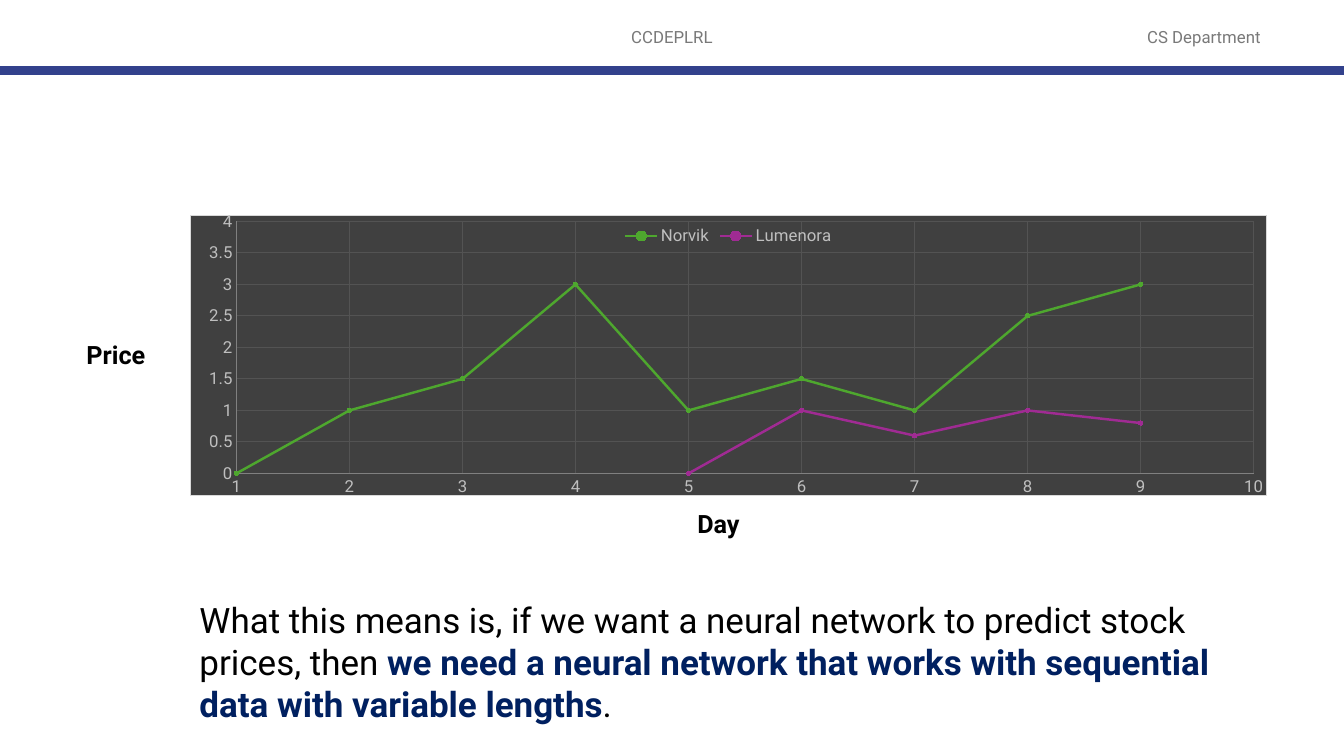
"""Build the slide on stock prices as sequential data of variable length."""
from dataclasses import dataclass

from lxml.etree import SubElement
from pptx import Presentation
from pptx.chart.data import XyChartData
from pptx.dml.color import RGBColor
from pptx.enum.chart import XL_CHART_TYPE, XL_LEGEND_POSITION, XL_MARKER_STYLE, XL_TICK_MARK
from pptx.enum.shapes import MSO_CONNECTOR
from pptx.enum.text import MSO_ANCHOR, PP_ALIGN
from pptx.oxml import parse_xml
from pptx.oxml.ns import nsdecls, qn
from pptx.util import Pt


@dataclass(frozen=True)
class Theme:
    """Colours and type sizes of the slide."""
    font: str = "Roboto"
    header: str = "797979"
    rule: str = "32418C"
    text: str = "000000"
    emphasis: str = "002060"
    panel: str = "404040"
    panel_edge: str = "D9D9D9"
    axis: str = "808080"
    grid: str = "535353"
    tick: str = "BFBFBF"
    small: int = 12
    label: int = 18
    body: int = 25


THEME = Theme()
SLIDE_SIZE = (960, 540)
RULE_TOP = 50.4
HEADERS = [
    ("CCDEPLRL", (318, 12, 324, 29)),
    ("CS Department", (786, 12, 148, 29)),
]
AXIS_TITLES = [
    ("Price", (54.7, 239, 72, 29)),
    ("Day", (491, 359.3, 58.5, 29)),
]
STATEMENT = [
    ("What this means is, if we want a neural network to predict stock prices, then ", False),
    ("we need a neural network that works with sequential data with variable lengths", True),
    (".", False),
]
STATEMENT_BOX = (135.4, 424, 769.7, 98)
CHART_BOX = (135.4, 151.2, 769.7, 203.8)
PLOT_AREA = {"x": 0.043, "y": 0.023, "w": 0.945, "h": 0.9}
STOCKS = [
    ("Norvik", 1, [0, 1, 1.5, 3, 1, 1.5, 1, 2.5, 3], "4EA72E", "8ED973"),
    ("Lumenora", 5, [0, 1, 0.6, 1, 0.8], "A02B93", "D86ECC"),
]
DAY_SCALE = (1, 10, 1)
PRICE_SCALE = (0, 4, 0.5)


def style_font(font, size, color, bold=False):
    """Apply the theme font with a size, colour and weight."""
    font.name, font.size, font.bold = THEME.font, Pt(size), bold
    font.color.rgb = RGBColor.from_string(color)


def style_line(line, color, width):
    """Give a line its colour and width."""
    line.color.rgb = RGBColor.from_string(color)
    line.width = Pt(width)


def add_text(slide, box, runs, size, align=PP_ALIGN.LEFT, anchor=MSO_ANCHOR.TOP):
    """Add a one-paragraph text box from (text, colour, bold) runs."""
    frame = slide.shapes.add_textbox(*map(Pt, box)).text_frame
    frame.word_wrap = True
    frame.vertical_anchor = anchor
    paragraph = frame.paragraphs[0]
    paragraph.alignment = align
    for text, color, bold in runs:
        run = paragraph.add_run()
        run.text = text
        style_font(run.font, size, color, bold)


def style_axis(axis, scale):
    """Set the scale, grid and labels of an axis."""
    axis.minimum_scale, axis.maximum_scale, axis.major_unit = scale
    axis.major_tick_mark = axis.minor_tick_mark = XL_TICK_MARK.NONE
    axis.has_major_gridlines = True
    style_line(axis.major_gridlines.format.line, THEME.grid, 0.75)
    style_line(axis.format.line, THEME.axis, 0.75)
    style_font(axis.tick_labels.font, THEME.small, THEME.tick)


def frame_chart(chart):
    """Fill the chart panel and fix the inner plot area."""
    chart.element.find(qn("c:txPr")).addprevious(parse_xml(
        f'<c:spPr {nsdecls("c", "a")}>'
        f'<a:solidFill><a:srgbClr val="{THEME.panel}"/></a:solidFill>'
        f'<a:ln w="{Pt(0.75)}"><a:solidFill><a:srgbClr val="{THEME.panel_edge}"/></a:solidFill></a:ln>'
        '</c:spPr>'))
    plot_area = chart.element.find(f'{qn("c:chart")}/{qn("c:plotArea")}')
    for automatic in plot_area.findall(qn("c:layout")):
        plot_area.remove(automatic)
    layout = parse_xml(f'<c:layout {nsdecls("c")}/>')
    manual = SubElement(layout, qn("c:manualLayout"))
    settings = {"layoutTarget": "inner", "xMode": "edge", "yMode": "edge", **PLOT_AREA}
    for tag, value in settings.items():
        SubElement(manual, qn(f"c:{tag}")).set("val", str(value))
    plot_area.insert(0, layout)


def add_price_chart(slide):
    """Add the scatter chart of stock prices by day."""
    prices = XyChartData()
    for name, first_day, values, *_ in STOCKS:
        stock = prices.add_series(name)
        for day, price in enumerate(values, first_day):
            stock.add_data_point(day, price)
    chart = slide.shapes.add_chart(
        XL_CHART_TYPE.XY_SCATTER_LINES, *map(Pt, CHART_BOX), prices).chart
    chart.has_title = False
    style_font(chart.font, THEME.small, THEME.tick)
    chart.has_legend = True
    chart.legend.position = XL_LEGEND_POSITION.TOP
    chart.legend.include_in_layout = False
    style_font(chart.legend.font, THEME.small, THEME.tick)
    style_axis(chart.category_axis, DAY_SCALE)
    style_axis(chart.value_axis, PRICE_SCALE)
    chart.plots[0].vary_by_categories = False
    for series, (*_, color, edge) in zip(chart.plots[0].series, STOCKS):
        series.smooth = False
        style_line(series.format.line, color, 1.75)
        marker = series.marker
        marker.style, marker.size = XL_MARKER_STYLE.CIRCLE, 3
        marker.format.fill.solid()
        marker.format.fill.fore_color.rgb = RGBColor.from_string(color)
        style_line(marker.format.line, edge, 0.75)
    frame_chart(chart)


def main():
    """Lay out the header, chart and statement, then save."""
    deck = Presentation()
    deck.slide_width, deck.slide_height = map(Pt, SLIDE_SIZE)
    slide = deck.slides.add_slide(deck.slide_layouts[6])
    for text, box in HEADERS:
        add_text(slide, box, [(text, THEME.header, False)], THEME.small,
                 PP_ALIGN.CENTER, MSO_ANCHOR.MIDDLE)
    rule = slide.shapes.add_connector(
        MSO_CONNECTOR.STRAIGHT, 0, Pt(RULE_TOP), deck.slide_width, Pt(RULE_TOP))
    style_line(rule.line, THEME.rule, 6)
    SubElement(rule.element.spPr, qn("a:effectLst"))
    add_price_chart(slide)
    for text, box in AXIS_TITLES:
        add_text(slide, box, [(text, THEME.text, True)], THEME.label)
    statement = [(text, THEME.emphasis if strong else THEME.text, strong)
                 for text, strong in STATEMENT]
    add_text(slide, STATEMENT_BOX, statement, THEME.body)
    deck.save("out.pptx")


if __name__ == "__main__":
    main()
